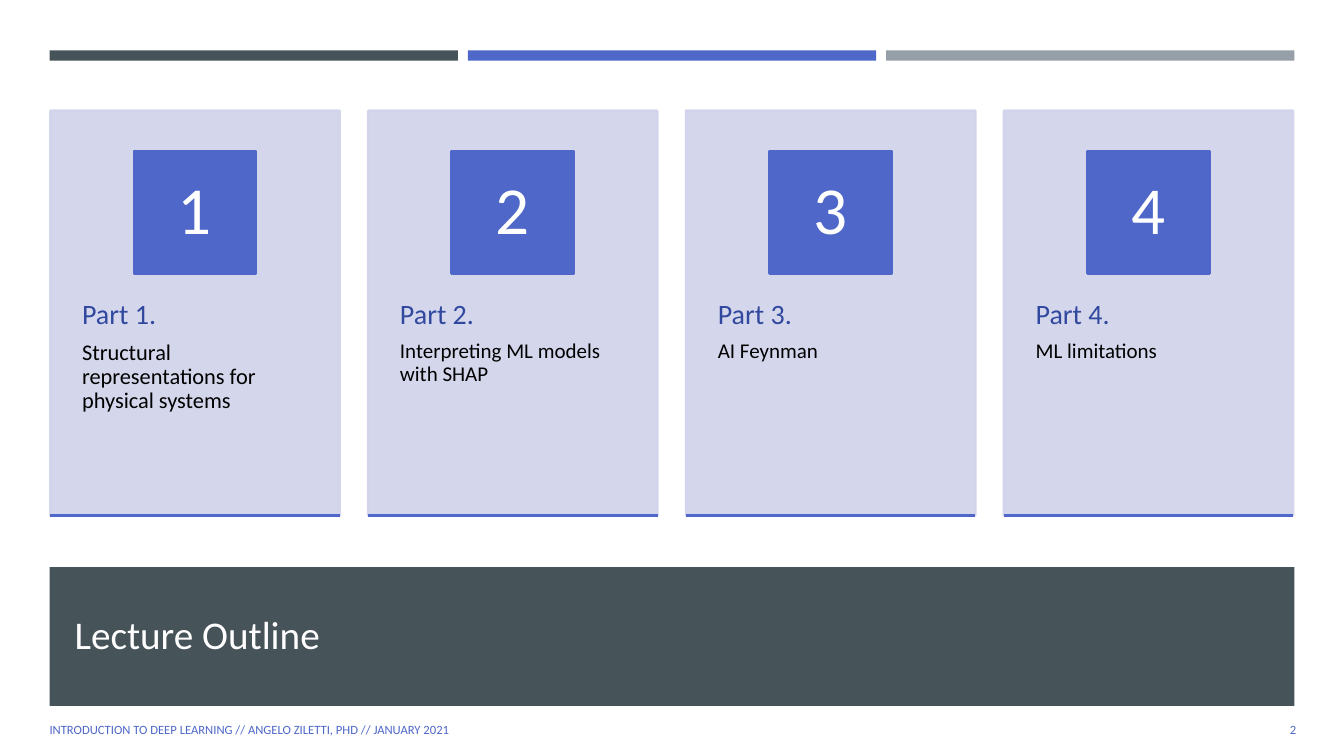
from lxml.etree import SubElement
from pptx import Presentation
from pptx.dml.color import RGBColor
from pptx.enum.shapes import MSO_CONNECTOR as Connector, MSO_SHAPE as Preset
from pptx.enum.text import MSO_ANCHOR as Anchor, MSO_AUTO_SIZE as AutoSize, PP_ALIGN as Align
from pptx.oxml.ns import qn
from pptx.util import Cm, Pt

FONT = "Calibri"
BLUE, DARK_BLUE, PALE = "4E67C8", "31489F", "D0D3EB"
SLATE, GREY, WHITE, BLACK = "465359", "969FA7", "FFFFFF", "000000"

PARTS = [
    ("Part 1.", "Structural representations for physical systems", 16),
    ("Part 2.", "Interpreting ML models with SHAP", 15),
    ("Part 3.", "AI Feynman", 15),
    ("Part 4.", "ML limitations", 15),
]
CARD_LEFT, CARD_TOP, CARD_WIDTH, CARD_HEIGHT = 1.27, 2.79, 7.29, 10.2
CARD_STEP = 8.01
BADGE_SIZE = 3.08


def color(value):
    return RGBColor.from_string(value)


def set_alpha(fill_owner, percent):
    """Make every solid colour below the element partly transparent."""
    for node in fill_owner.iter(qn("a:srgbClr")):
        SubElement(node, qn("a:alpha"), val=str(percent * 1000))


def add_box(slide, left, top, width, height, fill, outlined=False, alpha=None):
    shape = slide.shapes.add_shape(Preset.RECTANGLE, Cm(left), Cm(top), Cm(width), Cm(height))
    shape.shadow.inherit = False
    shape.fill.solid()
    shape.fill.fore_color.rgb = color(fill)
    if outlined:
        shape.line.color.rgb = color(fill)
        shape.line.width = Pt(1.75)
    else:
        shape.line.fill.background()
    if alpha:
        set_alpha(shape._element.spPr, alpha)
    return shape


def add_rule(slide, left, top, width):
    rule = slide.shapes.add_connector(
        Connector.STRAIGHT, Cm(left), Cm(top), Cm(left + width), Cm(top))
    rule.line.color.rgb = color(BLUE)
    rule.line.width = Pt(1.75)
    SubElement(rule._element.spPr, qn("a:effectLst"))


def write_run(paragraph, text, size, text_color):
    run = paragraph.add_run()
    run.text = text
    run.font.name = FONT
    run.font.size = Pt(size)
    run.font.color.rgb = color(text_color)


def set_frame(frame, anchor, insets=(0.25, 0.13, 0.25, 0.13)):
    frame.word_wrap = True
    frame.auto_size = AutoSize.NONE
    frame.vertical_anchor = anchor
    (frame.margin_left, frame.margin_top,
     frame.margin_right, frame.margin_bottom) = map(Cm, insets)


def add_label(slide, left, top, width, height, text, align):
    box = slide.shapes.add_textbox(Cm(left), Cm(top), Cm(width), Cm(height))
    set_frame(box.text_frame, Anchor.MIDDLE)
    paragraph = box.text_frame.paragraphs[0]
    paragraph.alignment = align
    write_run(paragraph, text, 9, BLUE)


def add_card(slide, index, heading, topic, topic_size):
    left = CARD_LEFT + index * CARD_STEP
    add_box(slide, left, CARD_TOP, CARD_WIDTH, CARD_HEIGHT, PALE, outlined=True, alpha=90)

    # Heading and topic
    box = slide.shapes.add_textbox(Cm(left), Cm(6.65), Cm(CARD_WIDTH), Cm(6.12))
    frame = box.text_frame
    set_frame(frame, Anchor.TOP, (0.8, 0.91, 0.56, 0.91))
    lines = [(heading, 20, DARK_BLUE), (topic, topic_size, BLACK)]
    for position, line in enumerate(lines):
        paragraph = frame.add_paragraph() if position else frame.paragraphs[0]
        paragraph.line_spacing = 0.9
        paragraph.space_after = Pt(7.5)
        write_run(paragraph, *line)

    # Number badge
    badge = add_box(slide, left + (CARD_WIDTH - BADGE_SIZE) / 2, 3.81,
                    BADGE_SIZE, BADGE_SIZE, BLUE, outlined=True)
    set_frame(badge.text_frame, Anchor.MIDDLE, (0.24, 0.03, 0.24, 0.03))
    paragraph = badge.text_frame.paragraphs[0]
    paragraph.alignment = Align.CENTER
    paragraph.line_spacing = 0.9
    write_run(paragraph, str(index + 1), 48, WHITE)

    add_rule(slide, left, CARD_TOP + CARD_HEIGHT, CARD_WIDTH)


def add_title(slide, text):
    band = add_box(slide, 1.25, 14.29, 31.37, 3.5, SLATE)
    title = slide.shapes.title
    band._element.addnext(title._element)  # title in front of its band
    title.left, title.top, title.width, title.height = Cm(1.63), Cm(14.63), Cm(30.63), Cm(2.67)
    set_frame(title.text_frame, Anchor.MIDDLE)
    paragraph = title.text_frame.paragraphs[0]
    paragraph.alignment = Align.LEFT
    write_run(paragraph, text, 28, "FFFEFF")


def main():
    presentation = Presentation()
    presentation.slide_width, presentation.slide_height = Cm(33.87), Cm(19.05)
    slide = presentation.slides.add_slide(presentation.slide_layouts[5])
    slide.background.fill.solid()
    slide.background.fill.fore_color.rgb = color(WHITE)

    add_title(slide, "Lecture Outline")

    # Three bars across the top
    for index, fill in enumerate([SLATE, BLUE, GREY]):
        add_box(slide, 1.25 + index * 10.54, 1.27, 10.29, 0.26, fill)

    # One card for each part of the lecture
    for index, part in enumerate(PARTS):
        add_card(slide, index, *part)

    # Footer
    add_label(slide, 1.0, 17.86, 19.2, 1.02,
              "INTRODUCTION TO DEEP LEARNING // ANGELO ZILETTI, PHD // JANUARY 2021", Align.LEFT)
    add_label(slide, 30.0, 17.86, 2.92, 1.02, "2", Align.RIGHT)

    presentation.save("out.pptx")


if __name__ == "__main__":
    main()
